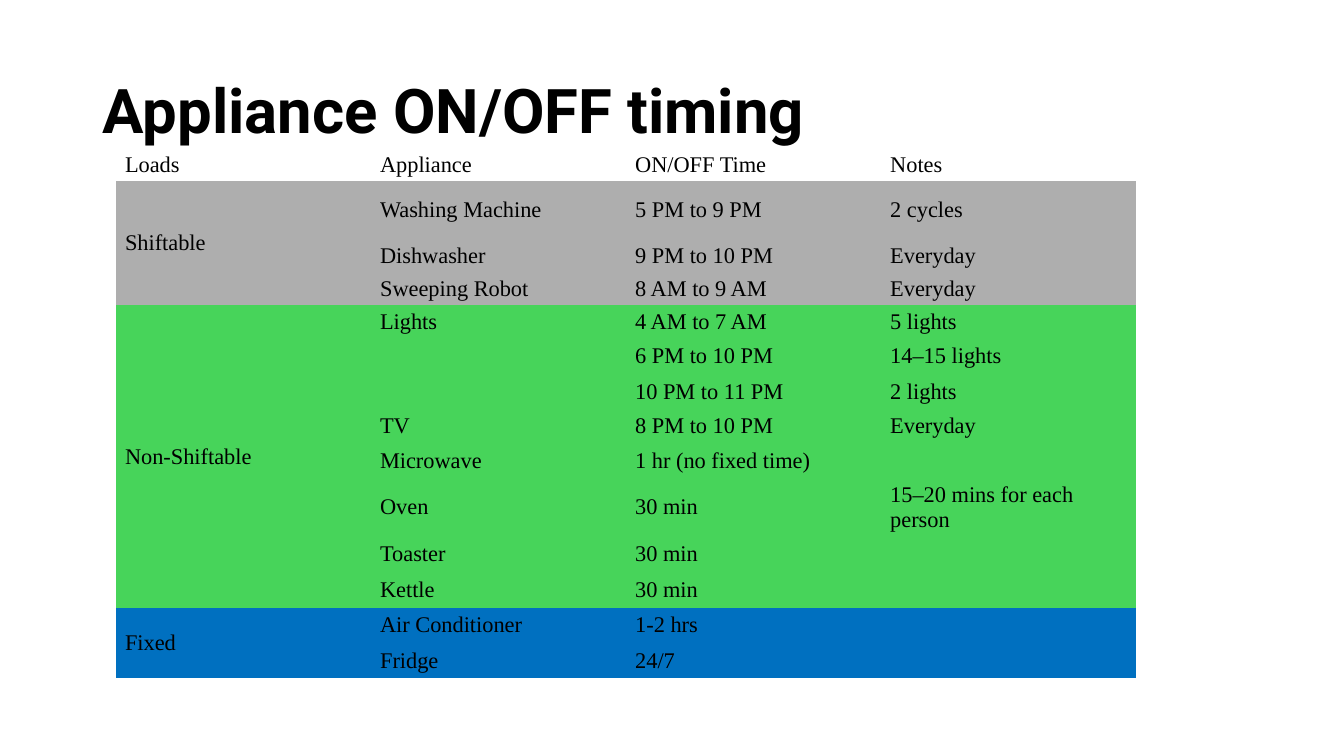
from dataclasses import dataclass

from lxml import etree
from pptx import Presentation
from pptx.dml.color import RGBColor
from pptx.enum.text import MSO_ANCHOR, MSO_AUTO_SIZE, PP_ALIGN
from pptx.oxml.ns import qn
from pptx.util import Inches, Pt

MIDDLE = MSO_ANCHOR.MIDDLE
LEFT = PP_ALIGN.LEFT
NO_AUTOFIT = MSO_AUTO_SIZE.NONE
TITLE_ONLY_LAYOUT = 5
PLAIN_TABLE_STYLE = "{2D5ABB26-0587-4C30-8999-92F81FD0307C}"


@dataclass(frozen=True)
class Theme:
    title_font: str = "Roboto"
    table_font: str = "Times New Roman"
    title_size: float = 44
    table_size: float = 16
    ink: str = "000000"
    shiftable: str = "AEAEAE"
    non_shiftable: str = "47D45A"
    fixed: str = "0070C0"


THEME = Theme()

# Timetable: load group, its colour, and (appliance, time, notes) rows
HEADINGS = ("Loads", "Appliance", "ON/OFF Time", "Notes")
LOAD_GROUPS = [
    ("Shiftable", THEME.shiftable, [
        ("Washing Machine", "5 PM to 9 PM", "2 cycles"),
        ("Dishwasher", "9 PM to 10 PM", "Everyday"),
        ("Sweeping Robot", "8 AM to 9 AM", "Everyday"),
    ]),
    ("Non-Shiftable", THEME.non_shiftable, [
        ("Lights", "4 AM to 7 AM", "5 lights"),
        ("", "6 PM to 10 PM", "14–15 lights"),
        ("", "10 PM to 11 PM", "2 lights"),
        ("TV", "8 PM to 10 PM", "Everyday"),
        ("Microwave", "1 hr (no fixed time)", ""),
        ("Oven", "30 min", "15–20 mins for each person"),
        ("Toaster", "30 min", ""),
        ("Kettle", "30 min", ""),
    ]),
    ("Fixed", THEME.fixed, [
        ("Air Conditioner", "1-2 hrs", ""),
        ("Fridge", "24/7", ""),
    ]),
]
ROW_HEIGHT = 0.33
TALL_ROWS = {"Washing Machine": 0.57, "Oven": 0.58}


def write(frame, text, *, font, size, color, bold=False, spacing=None):
    """Put one formatted, left-aligned paragraph in a text frame."""
    paragraph = frame.paragraphs[0]
    paragraph.alignment = LEFT
    if spacing:
        paragraph.line_spacing = spacing
    if not text:
        # An empty cell keeps the row height of its type size
        end = etree.SubElement(paragraph._p, qn("a:endParaRPr"))
        end.set("sz", str(int(size * 100)))
        return
    run = paragraph.add_run()
    run.text = text
    run.font.name = font
    run.font.size = Pt(size)
    run.font.bold = bold
    run.font.color.rgb = RGBColor.from_string(color)


class SlideBuilder:
    def __init__(self, slide, theme):
        self.slide = slide
        self.theme = theme

    def title(self, text, left, top, width, height):
        title = self.slide.shapes.title
        title.left, title.top = Inches(left), Inches(top)
        title.width, title.height = Inches(width), Inches(height)
        frame = title.text_frame
        frame.word_wrap = True
        frame.auto_size = NO_AUTOFIT
        frame.vertical_anchor = MIDDLE
        write(frame, text, font=self.theme.title_font, size=self.theme.title_size,
              color=self.theme.ink, bold=True, spacing=0.9)

    def cell(self, cell, text, fill=None):
        cell.vertical_anchor = MIDDLE
        cell.margin_left = cell.margin_right = Inches(0.09)
        cell.margin_top = cell.margin_bottom = Inches(0.04)
        if fill:
            cell.fill.solid()
            cell.fill.fore_color.rgb = RGBColor.from_string(fill)
        else:
            cell.fill.background()
        write(cell.text_frame, text, font=self.theme.table_font,
              size=self.theme.table_size, color=self.theme.ink)

    def timetable(self, headings, groups, left, top, column_width):
        rows = [(headings, None)]
        spans = []
        for load, fill, appliances in groups:
            spans.append((len(rows), len(rows) + len(appliances) - 1))
            for index, appliance in enumerate(appliances):
                rows.append(((load if index == 0 else "", *appliance), fill))
        heights = [TALL_ROWS.get(texts[1], ROW_HEIGHT) for texts, _ in rows]

        table = self.slide.shapes.add_table(
            len(rows), len(headings), Inches(left), Inches(top),
            Inches(column_width * len(headings)), Inches(sum(heights))).table
        table.first_row = table.horz_banding = False
        table._tbl.tblPr.find(qn("a:tableStyleId")).text = PLAIN_TABLE_STYLE

        for column in table.columns:
            column.width = Inches(column_width)
        for row, height, (texts, fill) in zip(table.rows, heights, rows):
            row.height = Inches(height)
            for cell, text in zip(row.cells, texts):
                self.cell(cell, text, fill)

        # One load label spans all appliances of its group
        for first, last in spans:
            table.cell(first, 0).merge(table.cell(last, 0))


def main():
    presentation = Presentation()
    presentation.slide_width = Inches(13.33)
    presentation.slide_height = Inches(7.5)
    layout = presentation.slide_layouts[TITLE_ONLY_LAYOUT]
    builder = SlideBuilder(presentation.slides.add_slide(layout), THEME)

    builder.title("Appliance ON/OFF timing", 0.92, 0.4, 11.5, 1.45)
    builder.timetable(HEADINGS, LOAD_GROUPS, 1.15, 1.47, 2.53)

    presentation.save("out.pptx")


if __name__ == "__main__":
    main()
